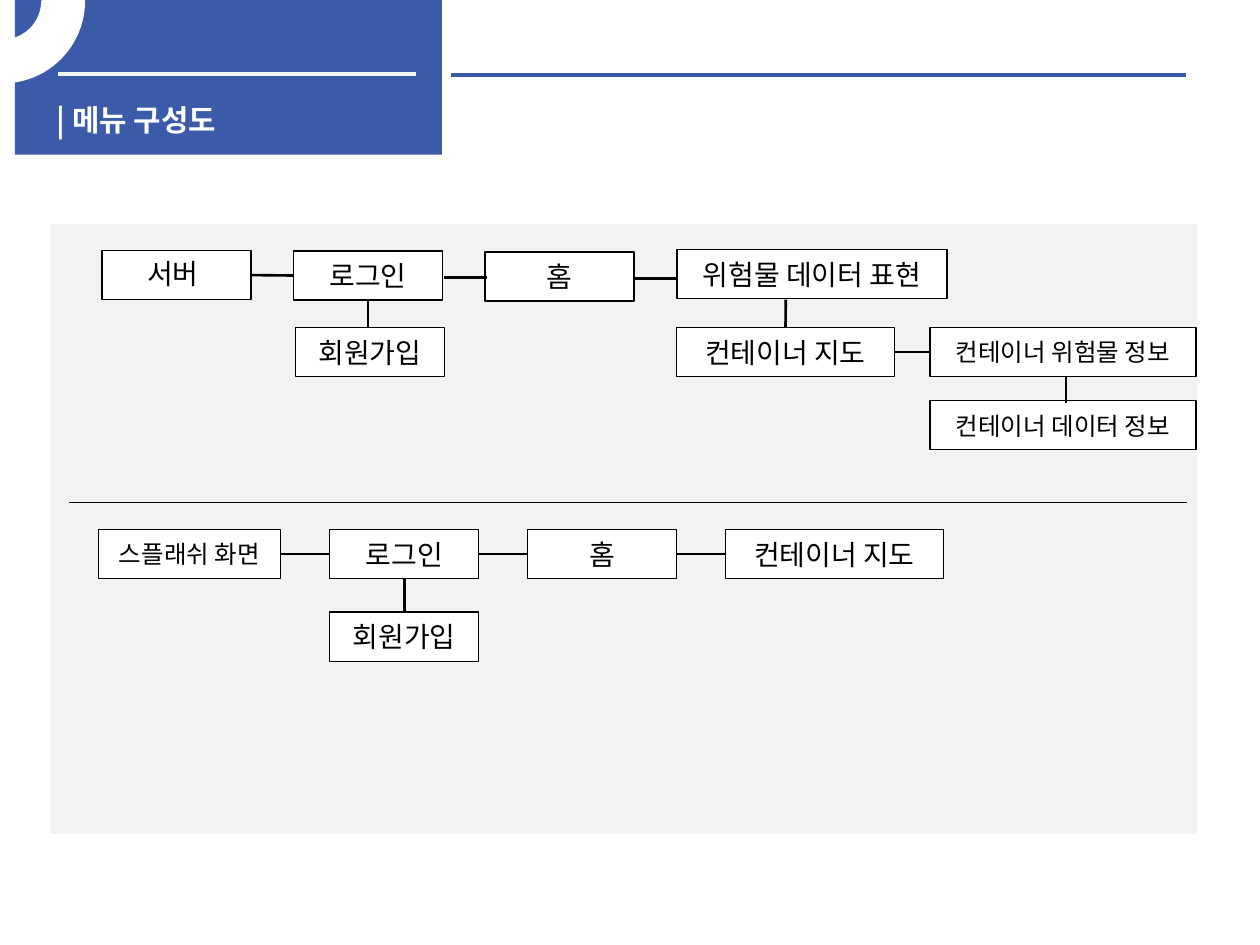
from lxml import etree
from pptx import Presentation
from pptx.dml.color import RGBColor
from pptx.enum.shapes import MSO_CONNECTOR as Line, MSO_SHAPE as Preset
from pptx.enum.text import MSO_ANCHOR as Anchor, PP_ALIGN as Align
from pptx.oxml.ns import qn
from pptx.util import Cm, Pt

BLUE = RGBColor(0x3B, 0x5A, 0xA8)
GRAY = RGBColor(0xF2, 0xF2, 0xF2)
WHITE = RGBColor(0xFF, 0xFF, 0xFF)
BLACK = RGBColor(0, 0, 0)
FONT = "Noto Sans CJK KR"

BOX_WIDTH, BOX_HEIGHT = 3, 0.99
MAP_WIDTH, INFO_WIDTH = 4.39, 5.36
APP_GAP = 0.99
TOP, RIGHT, BOTTOM, LEFT = 0, 3, 2, 1


def write(frame, text, size=16, color=BLACK, bold=False,
          align=Align.CENTER, anchor=Anchor.MIDDLE):
    frame.word_wrap = True
    frame.vertical_anchor = anchor
    paragraph = frame.paragraphs[0]
    paragraph.alignment = align
    run = paragraph.add_run()
    run.text = text
    font = run.font
    font.name, font.size, font.bold = FONT, Pt(size), bold
    font.color.rgb = color
    east_asian = etree.SubElement(run._r.get_or_add_rPr(), qn("a:ea"))
    east_asian.set("typeface", FONT)


class MenuSlide:
    def __init__(self, presentation):
        self.slide = presentation.slides.add_slide(presentation.slide_layouts[5])
        self.shapes = self.slide.shapes

    def shape(self, preset, left, top, width, height, fill, line=None, line_width=0.75):
        shape = self.shapes.add_shape(preset, Cm(left), Cm(top), Cm(width), Cm(height))
        shape.shadow.inherit = False
        shape.fill.solid()
        shape.fill.fore_color.rgb = fill
        if line is None:
            shape.line.fill.background()
        else:
            shape.line.color.rgb = line
            shape.line.width = Pt(line_width)
        return shape

    def box(self, text, left, top, width=BOX_WIDTH, size=16):
        box = self.shape(Preset.RECTANGLE, left, top, width, BOX_HEIGHT, WHITE, BLACK)
        if text:
            frame = box.text_frame
            frame.margin_left = frame.margin_right = Cm(0.1)
            write(frame, text, size)
        return box

    def label(self, text, left, top, width, height):
        label = self.shapes.add_textbox(Cm(left), Cm(top), Cm(width), Cm(height))
        write(label.text_frame, text, align=Align.LEFT, anchor=Anchor.TOP)

    def title(self, text, left, top, width, height, above):
        """Place the title just in front of the shape given as above."""
        title = self.shapes.title
        title.left, title.top = Cm(left), Cm(top)
        title.width, title.height = Cm(width), Cm(height)
        write(title.text_frame, text, 17, WHITE, True, Align.LEFT, Anchor.TOP)
        above.element.addnext(title.element)

    def line(self, x1, y1, x2, y2, color=BLACK, width=1.5):
        line = self.shapes.add_connector(Line.STRAIGHT, Cm(x1), Cm(y1), Cm(x2), Cm(y2))
        line.line.color.rgb = color
        line.line.width = Pt(width)
        etree.SubElement(line.element.spPr, qn("a:effectLst"))
        return line

    def join(self, first, second, start=RIGHT, end=LEFT):
        line = self.line(0, 0, 1, 1)
        line.begin_connect(first, start)
        line.end_connect(second, end)


def draw_header(page):
    banner = page.shape(Preset.RECTANGLE, 0.3, 0, 8.61, 3.12, BLUE)
    page.title("| 메뉴 구성도", 0.89, 1.93, 8.2, 0.76, above=banner)
    page.line(1.17, 1.5, 8.38, 1.5, GRAY, 2.25)
    page.line(9.09, 1.52, 23.9, 1.52, BLUE, 2.25)
    ring = page.shape(Preset.BLOCK_ARC, -1.6, -1.6, 3.28, 3.25, WHITE, WHITE, 2)
    # Angles are stored in 60000ths of a degree, adjustments in 100000ths
    for index, value in enumerate((161.59 * 0.6, 0, 0.25)):
        ring.adjustments[index] = value
    ring.element.spPr.find(qn("a:xfrm")).set("flipV", "1")


def draw_server_menu(page):
    second_row = 6.6
    server = page.box("", 2.06, 5.05)
    page.label("서버", 2.72, 5.05, 2.79, 0.94)
    login = page.box("로그인", 5.92, 5.06)
    page.box("홈", 9.78, 5.08)
    page.box("위험물 데이터 표현", 13.65, 5.03, 5.44)
    page.box("회원가입", 5.96, second_row)
    container_map = page.box("컨테이너 지도", 13.64, second_row, MAP_WIDTH)
    hazard_info = page.box("컨테이너 위험물 정보", 18.75, second_row, INFO_WIDTH, 14)
    page.box("컨테이너 데이터 정보", 18.75, 8.08, INFO_WIDTH, 14)

    page.join(server, login)
    page.join(container_map, hazard_info)
    page.line(8.96, 5.59, 9.82, 5.59)
    page.line(12.78, 5.62, 13.66, 5.62)
    page.line(7.42, 6.05, 7.42, 6.6).begin_connect(login, BOTTOM)
    page.line(15.84, 6.04, 15.84, 6.6).end_connect(container_map, TOP)
    page.line(21.49, 7.59, 21.49, 8.12)


def draw_app_menu(page):
    left, top = 1.98, 10.67
    steps = [("스플래쉬 화면", 3.68, 14), ("로그인", BOX_WIDTH, 16),
             ("홈", BOX_WIDTH, 16), ("컨테이너 지도", MAP_WIDTH, 16)]
    boxes = []
    for text, width, size in steps:
        boxes.append(page.box(text, left, top, width, size))
        left += width + APP_GAP
    for first, second in zip(boxes, boxes[1:]):
        page.join(first, second)
    login = boxes[1]
    signup = page.box("회원가입", login.left.cm, 12.34)
    page.join(login, signup, BOTTOM, TOP)


def main():
    presentation = Presentation()
    presentation.slide_width, presentation.slide_height = Cm(25.4), Cm(19.05)
    page = MenuSlide(presentation)
    draw_header(page)
    page.shape(Preset.RECTANGLE, 1.02, 4.52, 23.11, 12.29, GRAY)
    draw_server_menu(page)
    draw_app_menu(page)
    page.line(1.4, 10.13, 23.93, 10.13, width=0.75)
    presentation.save("out.pptx")


if __name__ == "__main__":
    main()
